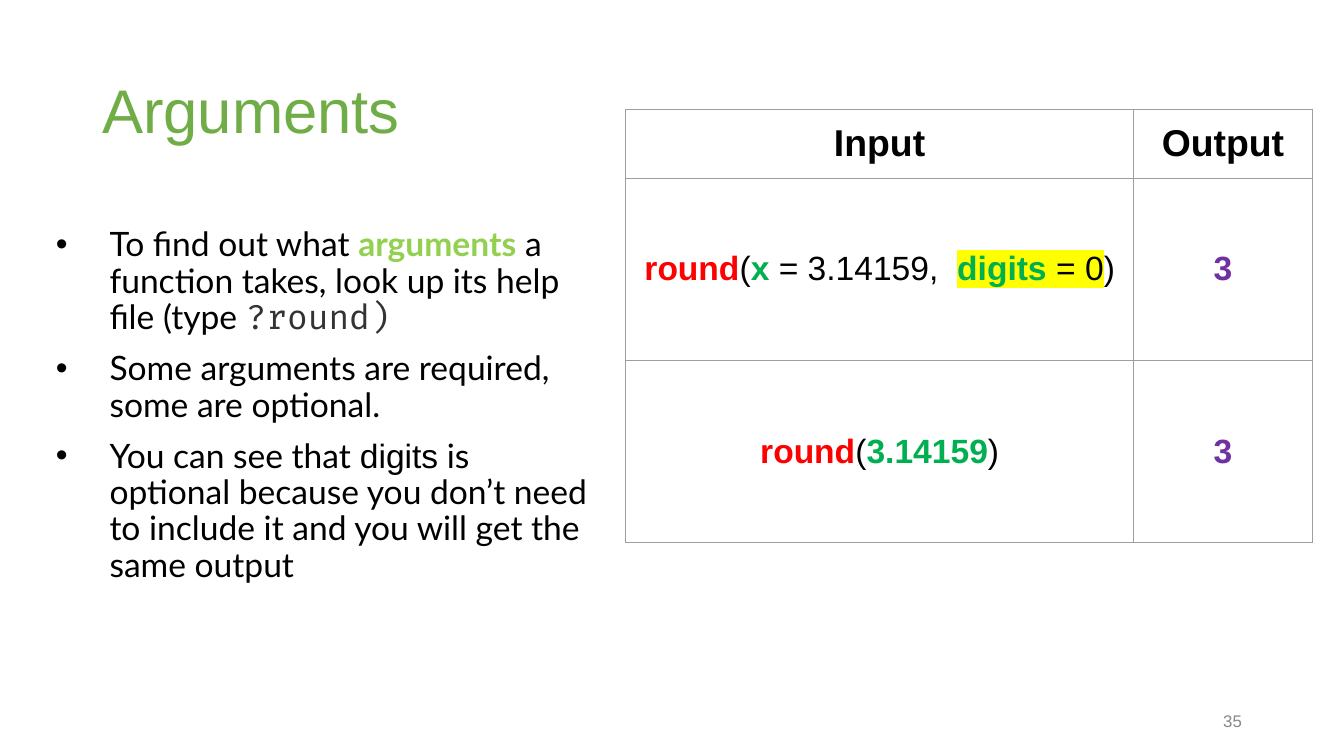
from pptx import Presentation
from pptx.dml.color import RGBColor
from pptx.enum.text import MSO_ANCHOR, PP_ALIGN
from pptx.oxml.ns import qn
from pptx.util import Inches, Pt
from lxml.etree import SubElement, Element

TOP, MID = MSO_ANCHOR.TOP, MSO_ANCHOR.MIDDLE
LEFT, MIDDLE, RIGHT = PP_ALIGN.LEFT, PP_ALIGN.CENTER, PP_ALIGN.RIGHT
WIDE = 10
HIGH = WIDE * 9 / 16
BLACK, RED, GREEN, PURPLE = "000000", "FF0000", "00B050", "7030A0"
LIME, YELLOW, GRAY = "92D050", "FFFF00", "9E9E9E"

POINTS = [
    [("To find out what\u00a0", {}), ("arguments", {"hue": LIME, "bold": True}),
     ("\u00a0a function takes, look up its help file (type ", {}),
     ("?round)", {"font": "Fira Code", "hue": "333333"})],
    [("Some arguments are required, some are optional.", {})],
    [("You can see that\u00a0", {}), ("digits", {"font": "Arial"}),
     ("\u00a0is optional because you don’t need to include it "
      "and you will get the same output", {})],
]
NAME = ("round", {"hue": RED, "bold": True})
ARG = {"hue": GREEN, "bold": True}
THREE = [("3", {"hue": PURPLE, "bold": True})]
HEAD = {"size": 20, "bold": True}
ROWS = [
    [[("Input", HEAD)], [("Output", HEAD)]],
    [[NAME, ("(", {}), ("x", ARG), (" = 3.14159,  ", {}),
      ("digits ", {**ARG, "mark": YELLOW}), ("= 0", {"mark": YELLOW}), (")", {})], THREE],
    [[NAME, ("(", {}), ("3.14159", ARG), (")", {})], THREE],
]


def color(code):
    """Turn a hex string into a colour."""
    return RGBColor.from_string(code)


def across(share):
    """Give a percentage of the slide's width."""
    return Inches(WIDE * share / 100)


def down(share):
    """Give a percentage of the slide's height."""
    return Inches(HIGH * share / 100)


def style(run, font="Arial", size=18, hue=BLACK, bold=False, mark=None):
    """Format one run, with an optional highlight."""
    run.font.name, run.font.size, run.font.bold = font, Pt(size), bold
    run.font.color.rgb = color(hue)
    if mark:
        light = Element(qn("a:highlight"))
        SubElement(light, qn("a:srgbClr"), val=mark)
        run._r.get_or_add_rPr().find(qn("a:solidFill")).addnext(light)


def write(para, parts, align=LEFT, **base):
    """Fill a paragraph with formatted runs."""
    para.alignment = align
    for text, look in parts:
        run = para.add_run()
        run.text = text
        style(run, **{**base, **look})


def add_box(slide, left, top, width, height, anchor=TOP, pad=0.07):
    """Add a wrapping text box placed by percentages."""
    box = slide.shapes.add_textbox(across(left), down(top), across(width), down(height))
    frame = box.text_frame
    frame.word_wrap, frame.vertical_anchor = True, anchor
    frame.margin_left = frame.margin_right = Inches(0.07)
    frame.margin_top = frame.margin_bottom = Inches(pad)
    return frame


def add_list(frame, points):
    """Write bulleted paragraphs with a hanging indent."""
    for num, parts in enumerate(points):
        para = frame.add_paragraph() if num else frame.paragraphs[0]
        para.line_spacing, para.space_before = 0.9, Pt(8)
        props = para._p.get_or_add_pPr()
        props.set("marL", str(Inches(0.5)))
        props.set("indent", str(Inches(-0.4)))
        SubElement(SubElement(props, qn("a:buClr")), qn("a:srgbClr"), val=BLACK)
        SubElement(props, qn("a:buFont"), typeface="Arial")
        SubElement(props, qn("a:buChar"), char="•")
        write(para, parts, font="Lato")


def edge(cell):
    """Draw a thin gray line on each side of a cell."""
    props = cell._tc.get_or_add_tcPr()
    for num, side in enumerate("LRTB"):
        line = Element(qn(f"a:ln{side}"), w=str(Pt(0.75)))
        SubElement(SubElement(line, qn("a:solidFill")), qn("a:srgbClr"), val=GRAY)
        props.insert(num, line)


def add_grid(slide, left, top, widths, heights, rows):
    """Add a plain table with centred cells."""
    shape = slide.shapes.add_table(len(heights), len(widths), across(left), down(top),
                                   across(sum(widths)), down(sum(heights)))
    table = shape.table
    table.first_row = table.horz_banding = False
    for col, width in zip(table.columns, widths):
        col.width = across(width)
    for row, height, texts in zip(table.rows, heights, rows):
        row.height = down(height)
        for cell, parts in zip(row.cells, texts):
            cell.fill.background()
            edge(cell)
            cell.vertical_anchor = MID
            cell.margin_left = cell.margin_right = Inches(0.1)
            cell.margin_top = cell.margin_bottom = Inches(0.09)
            write(cell.text_frame.paragraphs[0], parts, MIDDLE)


def main():
    """Build the slide and save it."""
    deck = Presentation()
    deck.slide_width, deck.slide_height = Inches(WIDE), Inches(HIGH)
    slide = deck.slides.add_slide(deck.slide_layouts[6])
    title = add_box(slide, 6.9, 5.33, 86.2, 19.33, MID).paragraphs[0]
    title.line_spacing = 0.9
    write(title, [("Arguments", {})], size=33, hue="70AD47")
    add_list(add_box(slide, 2.45, 28.9, 42.5, 63.45), POINTS)
    page = add_box(slide, 70.6, 92.7, 22.5, 5.33, MID, 0.04).paragraphs[0]
    write(page, [("35", {})], RIGHT, size=9, hue="888888")
    add_grid(slide, 46.55, 14.44, [37.8, 13.3], [9, 24.1, 24.1], ROWS)
    deck.save("out.pptx")


if __name__ == "__main__":
    main()
